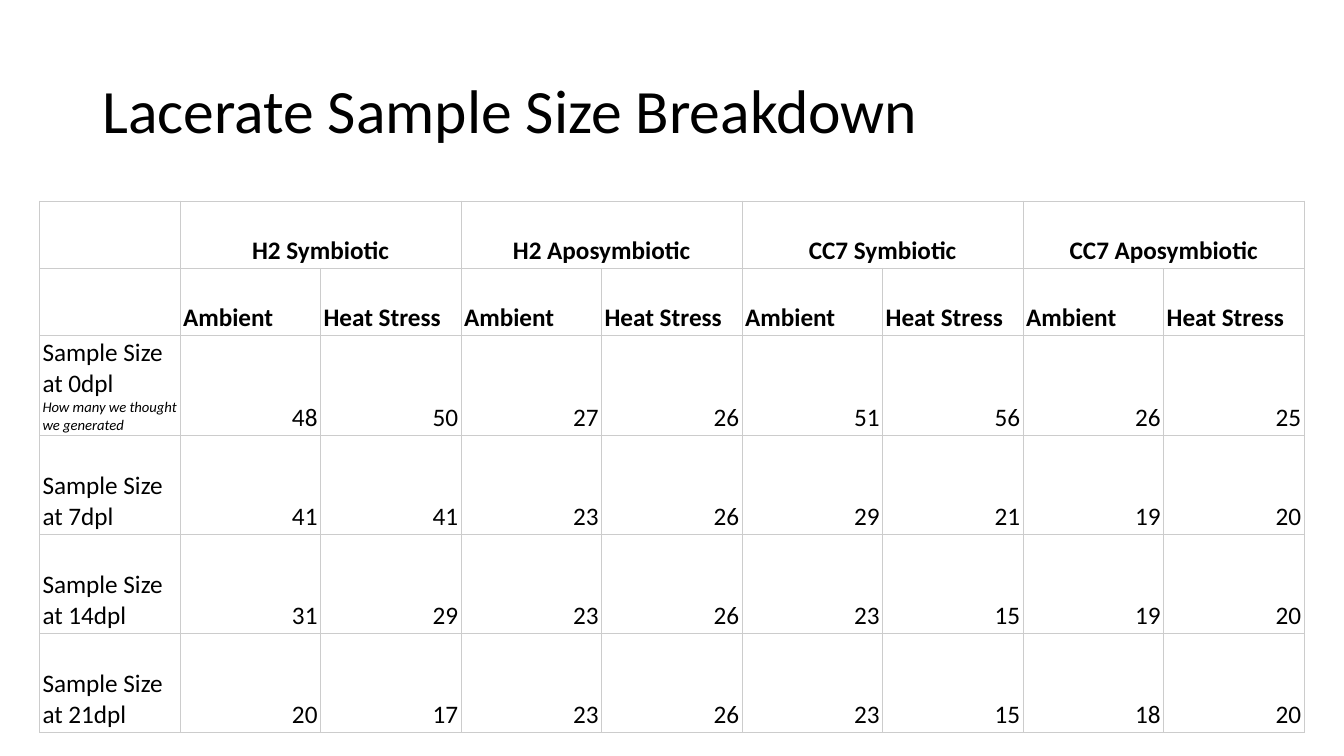
from pptx import Presentation
from pptx.dml.color import RGBColor
from pptx.enum import text as t
from pptx.oxml import parse_xml
from pptx.oxml import ns
from pptx.util import Pt

COLORS = {"text": "000000", "grid": "CCCCCC"}
FONT = "Calibri"
GROUPS = ["H2 Symbiotic", "H2 Aposymbiotic", "CC7 Symbiotic", "CC7 Aposymbiotic"]
TREATMENTS = ["Ambient", "Heat Stress"]
SAMPLE_SIZES = {
    "0dpl": [48, 50, 27, 26, 51, 56, 26, 25],
    "7dpl": [41, 41, 23, 26, 29, 21, 19, 20],
    "14dpl": [31, 29, 23, 26, 23, 15, 19, 20],
    "21dpl": [20, 17, 23, 26, 23, 15, 18, 20],
}
NOTES = {"0dpl": "How many we thought we generated"}


def write(paragraph, words, size=18, bold=False, italic=False,
          align=t.PP_ALIGN.LEFT, spacing=None):
    paragraph.alignment = align
    if spacing:
        paragraph.line_spacing = spacing
    run = paragraph.add_run()
    run.text = str(words)
    font = run.font
    font.name, font.size, font.bold, font.italic = FONT, Pt(size), bold, italic
    font.color.rgb = RGBColor.from_string(COLORS["text"])


def style_cell(cell):
    cell.vertical_anchor = t.MSO_ANCHOR.BOTTOM
    cell.margin_left = cell.margin_right = Pt(2.16)
    cell.margin_top = cell.margin_bottom = Pt(1.44)
    cell.fill.background()
    # Borders come before the fill in the cell properties
    properties = cell._tc.get_or_add_tcPr()
    for place, side in enumerate("LRTB"):
        properties.insert(place, parse_xml(
            f'<a:ln{side} {ns.nsdecls("a")} w="{Pt(0.75)}"><a:solidFill>'
            f'<a:srgbClr val="{COLORS["grid"]}"/></a:solidFill></a:ln{side}>'))


def add_heading(slide, left, top, width, height):
    frame = slide.shapes.add_textbox(Pt(left), Pt(top), Pt(width), Pt(height)).text_frame
    frame.word_wrap = True
    frame.vertical_anchor = t.MSO_ANCHOR.MIDDLE
    write(frame.paragraphs[0], "Lacerate Sample Size Breakdown", size=44, spacing=0.9)


def add_breakdown(slide, left, top, width, header_height, body_height):
    treatments = TREATMENTS * len(GROUPS)
    heights = [header_height] * 2 + [body_height] * len(SAMPLE_SIZES)
    column_count = 1 + len(treatments)
    breakdown = slide.shapes.add_table(
        len(heights), column_count, Pt(left), Pt(top), Pt(width), Pt(sum(heights))).table
    breakdown.first_row = breakdown.horz_banding = False
    for row, height in zip(breakdown.rows, heights):
        row.height = Pt(height)
    for column in breakdown.columns:
        column.width = Pt(width / column_count)
    for cell in breakdown.iter_cells():
        style_cell(cell)

    def first_paragraph(row, column):
        return breakdown.cell(row, column).text_frame.paragraphs[0]

    # Group headers, each over its treatments
    span = len(TREATMENTS)
    for index, group in enumerate(GROUPS):
        start = 1 + index * span
        breakdown.cell(0, start).merge(breakdown.cell(0, start + span - 1))
        write(first_paragraph(0, start), group, bold=True, align=t.PP_ALIGN.CENTER)
    for column, treatment in enumerate(treatments, 1):
        write(first_paragraph(1, column), treatment, bold=True)

    # Sample sizes by day
    for row, (day, sizes) in enumerate(SAMPLE_SIZES.items(), 2):
        write(first_paragraph(row, 0), f"Sample Size at {day}")
        if day in NOTES:
            note = breakdown.cell(row, 0).text_frame.add_paragraph()
            write(note, NOTES[day], size=10.5, italic=True)
        for column, size in enumerate(sizes, 1):
            write(first_paragraph(row, column), size, align=t.PP_ALIGN.RIGHT)


def main():
    deck = Presentation()
    deck.slide_width, deck.slide_height = Pt(960), Pt(540)
    slide = deck.slides.add_slide(deck.slide_layouts[6])
    add_heading(slide, 66, 28.75, 828, 104.4)
    add_breakdown(slide, 28.2, 143.6, 903.6, header_height=48, body_height=70.8)
    deck.save("out.pptx")


if __name__ == "__main__":
    main()
